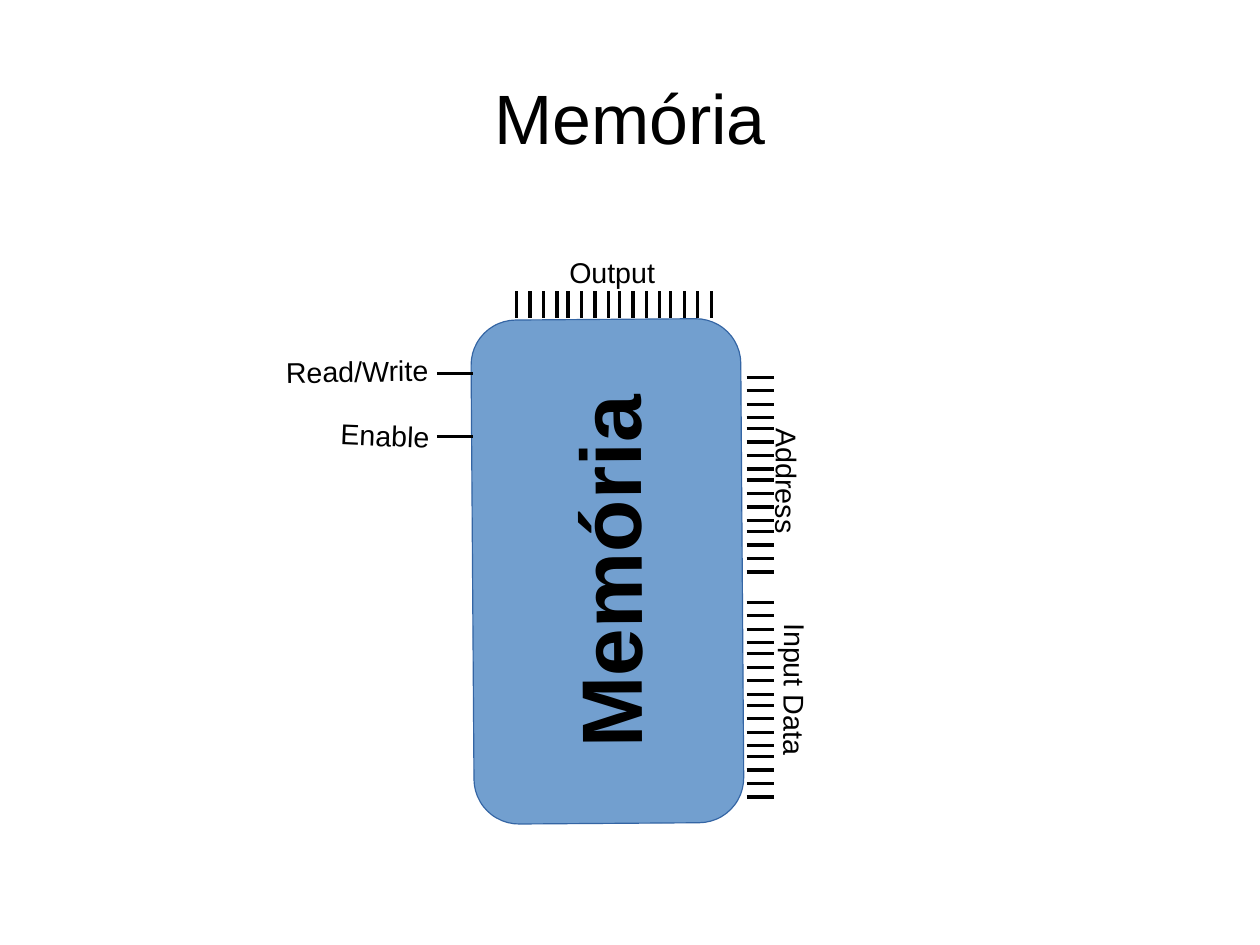
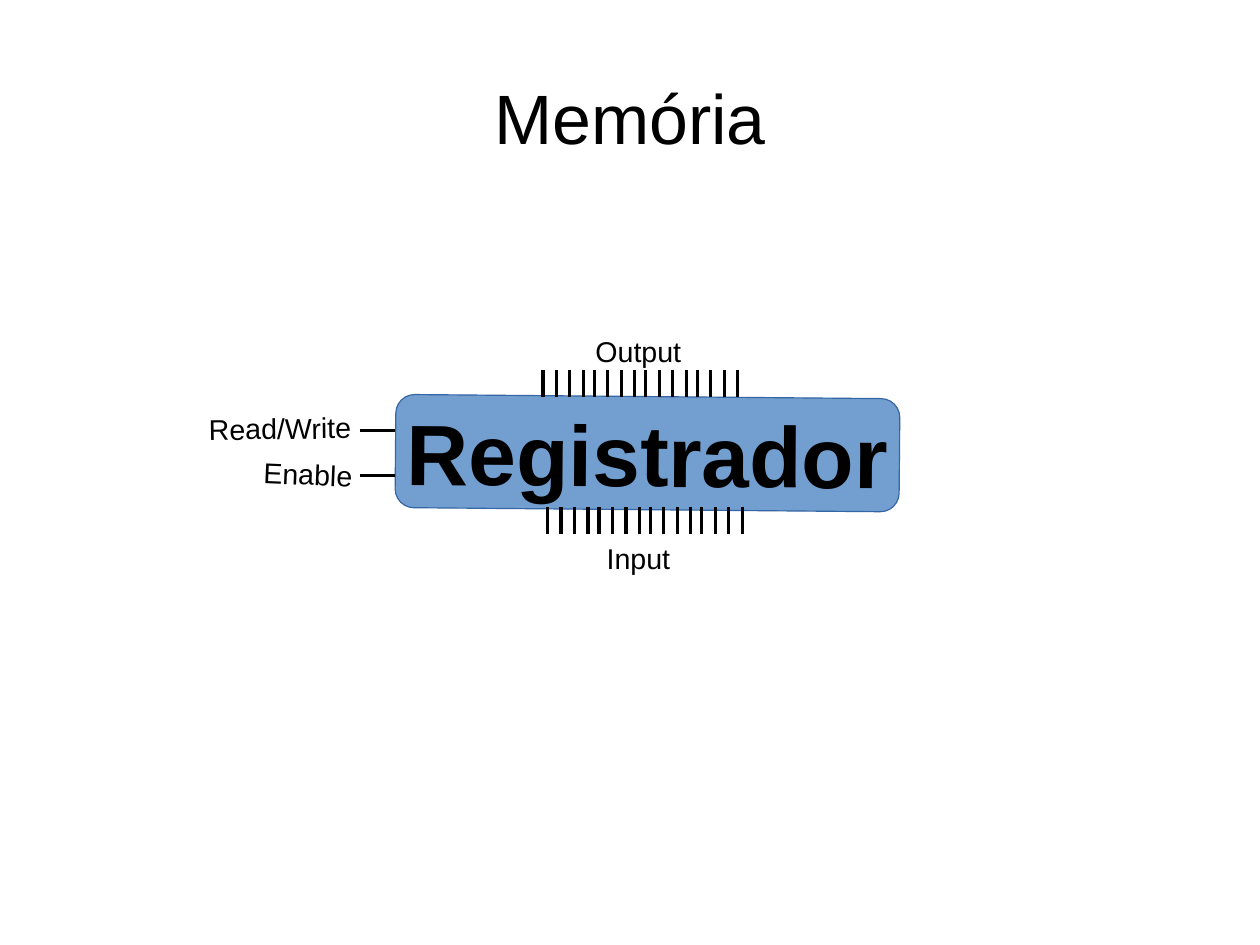
from lxml.etree import SubElement
from pptx import Presentation
from pptx.dml.color import RGBColor as Rgb
from pptx.enum.shapes import MSO_CONNECTOR as Conn, MSO_SHAPE as Shape
from pptx.enum.text import MSO_ANCHOR as Anchor, PP_ALIGN as Align
from pptx.oxml.ns import qn
from pptx.util import Pt

HUES = {"ink": "000000", "fill": "729FCF", "edge": "3465A4"}
FONT = "Arial"
PINS = 16
PIN_LEN = 17
LABEL_W, LABEL_H = 215.3, 27.4
LEAD = 22.5


def hue(name):
    return Rgb.from_string(HUES[name])


def write(shape, text, size, align=Align.CENTER, bold=False):
    para = shape.text_frame.paragraphs[0]
    para.text = text
    para.alignment = align
    font = para.runs[0].font
    font.name, font.size, font.bold = FONT, Pt(size), bold
    font.color.rgb = hue("ink")


def label(slide, x, y, w, h, text, size=18, align=Align.CENTER, turn=0):
    box = slide.shapes.add_textbox(Pt(x), Pt(y), Pt(w), Pt(h))
    box.text_frame.word_wrap = True
    box.rotation = turn
    write(box, text, size, align)
    return box


def title(slide, text):
    frame = label(slide, 39.7, 23.7, 714.3, 99.4, text, 44).text_frame
    frame.vertical_anchor = Anchor.MIDDLE
    frame.margin_left = frame.margin_right = 0
    frame.margin_top = frame.margin_bottom = 0


def wire(shapes, x, y, dx, dy):
    line = shapes.add_connector(Conn.STRAIGHT, Pt(x), Pt(y), Pt(x + dx), Pt(y + dy))
    line.line.color.rgb = hue("ink")
    line.line.width = Pt(0)
    SubElement(line.element.spPr, qn("a:effectLst"))


def body(slide, box, name, turn):
    x, y, w, h = box
    wide, high = (h, w) if turn > 180 else (w, h)
    left, top = x + (w - wide) / 2, y + (h - high) / 2
    chip = slide.shapes.add_shape(
        Shape.ROUNDED_RECTANGLE, Pt(left), Pt(top), Pt(wide), Pt(high))
    chip.rotation = turn
    chip.shadow.inherit = False
    chip.fill.solid()
    chip.fill.fore_color.rgb = hue("fill")
    chip.line.color.rgb = hue("edge")
    chip.line.width = Pt(0)
    chip.text_frame.word_wrap = False
    chip.text_frame.vertical_anchor = Anchor.MIDDLE
    write(chip, name, 54, bold=True)


def bus(slide, box, text, pin, mid, side=False):
    x, y = box[0] + pin[0], box[1] + pin[1]
    group = slide.shapes.add_group_shape()
    for i in range(PINS):
        step = i // 4 * 32.4 + i % 4 * 8.5
        if side:
            wire(group.shapes, x, y + step, PIN_LEN, 0)
        else:
            wire(group.shapes, x + step, y, 0, PIN_LEN)
    label(slide, box[0] + mid[0] - LABEL_W / 2, box[1] + mid[1] - LABEL_H / 2,
          LABEL_W, LABEL_H, text, turn=90.4 if side else 0)


def control(slide, box, rows):
    x, y = box[:2]
    kinds = (("Read/Write", 124.7, 120.2, 16.2, 359.2), ("Enable", 90.2, 92.2, 14.8, 2.4))
    for row, (text, back, width, rise, turn) in zip(rows, kinds):
        wire(slide.shapes, x - LEAD, y + row, LEAD, 0)
        label(slide, x - back, y + row - rise, width, LABEL_H, text,
              align=Align.LEFT, turn=turn)


def memory(slide, box):
    body(slide, box, "Memória", 269.6)
    bus(slide, box, "Output", (27.7, -17.6), (87.9, -30.5))
    bus(slide, box, "Address", (172.6, 36.4), (198.7, 101.9), True)
    bus(slide, box, "Input Data", (172.6, 178.2), (203.8, 233), True)
    control(slide, box, (34.2, 73.8))


def register(slide, box):
    body(slide, box, "Registrador", 0.5)
    bus(slide, box, "Output", (92.9, -16.5), (153, -29.5))
    bus(slide, box, "Input", (95.8, 69.9), (153, 100.9))
    control(slide, box, (21.6, 49.7))


def main():
    deck = Presentation()
    deck.slide_width, deck.slide_height = Pt(793.7), Pt(595.3)
    parts = ((memory, (297.7, 201.2, 169.9, 317.5)),
             (register, (249.1, 249.8, 317.5, 71.3)))
    for draw, box in parts:
        slide = deck.slides.add_slide(deck.slide_layouts[6])
        title(slide, "Memória")
        draw(slide, box)
    deck.save("out.pptx")


if __name__ == "__main__":
    main()
